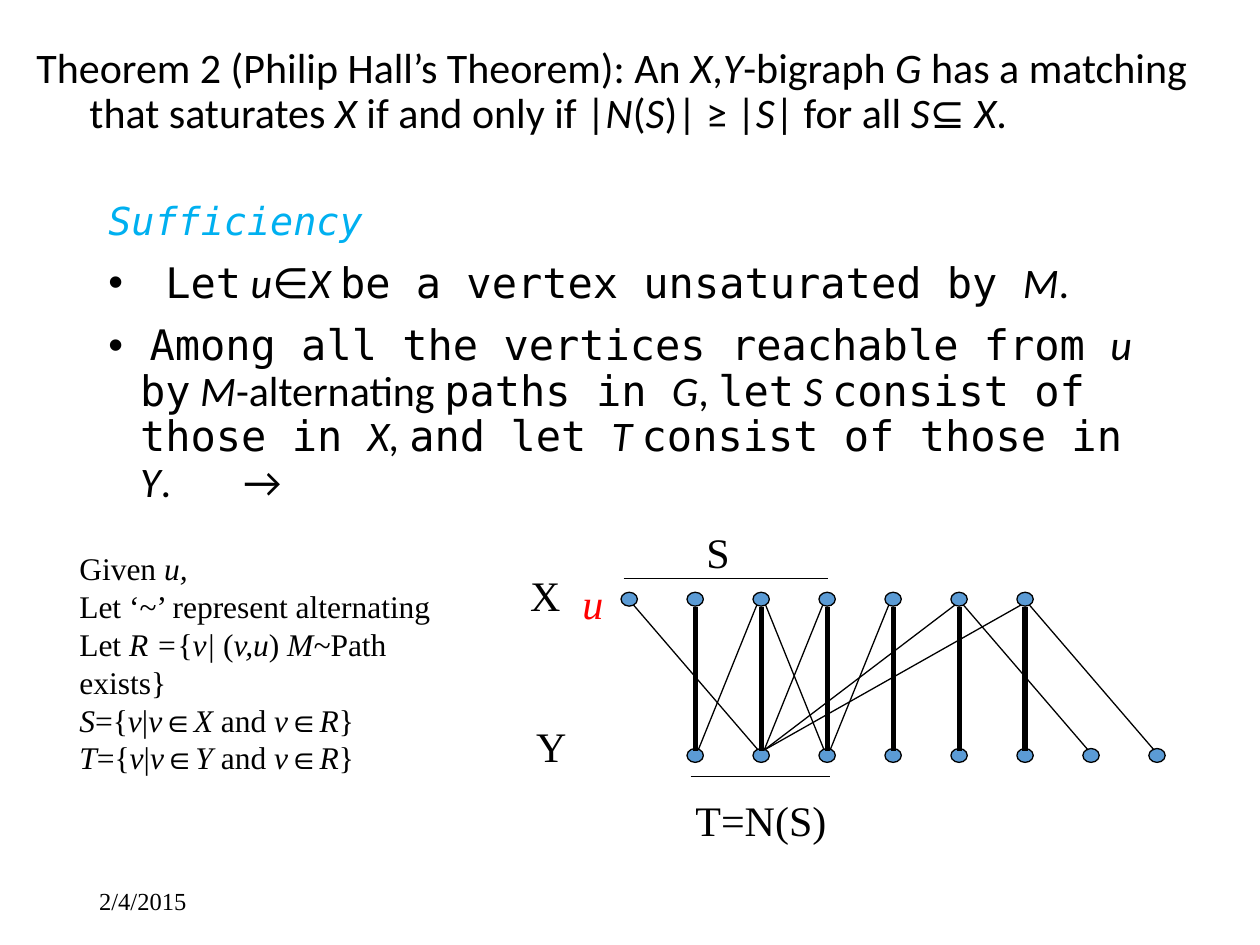
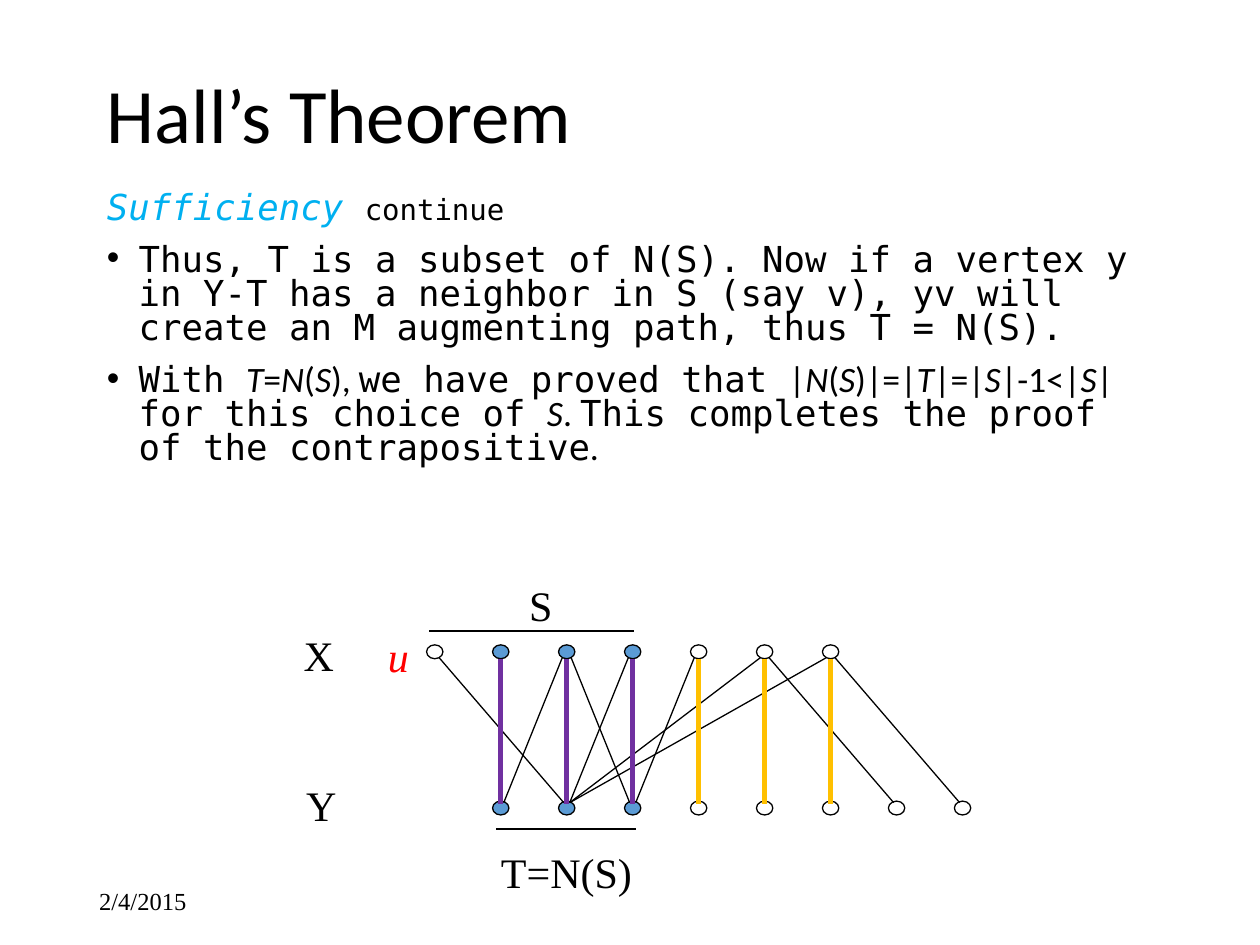
from dataclasses import dataclass

from lxml.etree import SubElement as Sub
from pptx import Presentation
from pptx.dml.color import RGBColor as RGB
from pptx.enum.shapes import MSO_CONNECTOR as Link, MSO_SHAPE as Shape
from pptx.enum.text import MSO_ANCHOR as Anchor, MSO_AUTO_SIZE as Fit, PP_ALIGN as Align
from pptx.oxml.ns import qn
from pptx.util import Cm, Pt


@dataclass(frozen=True)
class Theme:
    ink: RGB = RGB(0, 0, 0)
    cyan: RGB = RGB(0, 0xB0, 0xF0)
    red: RGB = RGB(0xFF, 0, 0)
    blue: RGB = RGB(0x5B, 0x9B, 0xD5)
    plum: RGB = RGB(0x70, 0x30, 0xA0)
    gold: RGB = RGB(0xFF, 0xC0, 0)
    sans: str = "Calibri"
    mono: str = "DejaVu Sans Mono"
    serif: str = "Times New Roman"
    label: float = 24
    note: float = 18
    date: float = 14
    thin: float = 0.75
    thick: float = 3


look = Theme()


def write(box, lines, size, font=look.serif, color=look.ink, anchor=Anchor.TOP,
          hang=0, gap=0, space=1.0, bullets=False):
    """Fill a box; *...* is italic, `...` is monospaced."""
    frame = box.text_frame
    for key, val in dict(word_wrap=True, auto_size=Fit.NONE,
                         vertical_anchor=anchor).items():
        setattr(frame, key, val)
    for n, text in enumerate(lines):
        para = frame.add_paragraph() if n else frame.paragraphs[0]
        props = para._p.get_or_add_pPr()
        props.set("marL", str(Cm(hang)))
        props.set("indent", str(-Cm(hang)))
        if bullets and n:
            Sub(props, qn("a:buFont"), typeface="Arial")
            Sub(props, qn("a:buChar"), char="•")
        else:
            Sub(props, qn("a:buNone"))
        if "\t" in text:
            tabs = Sub(props, qn("a:tabLst"))
            Sub(tabs, qn("a:tab"), pos=str(Cm(2.72)), algn="l")
        for key, val in dict(alignment=Align.LEFT, line_spacing=space,
                             space_before=Pt(gap if n else 0)).items():
            setattr(para, key, val)
        for i, part in enumerate(text.split("`")):
            for j, bit in enumerate(part.split("*")):
                if bit:
                    run = para.add_run()
                    run.text = bit
                    face = look.mono if i % 2 else font
                    for key, val in dict(name=face, size=Pt(size), bold=False,
                                         italic=bool(j % 2)).items():
                        setattr(run.font, key, val)
                    run.font.color.rgb = color


def rule(page, ends, color=look.ink, width=look.thin):
    """Draw a straight line; ends are x1, y1, x2, y2 in cm."""
    line = page.shapes.add_connector(Link.STRAIGHT, *map(Cm, ends))
    line.line.color.rgb = color
    line.line.width = Pt(width)
    Sub(line._element.spPr, qn("a:effectLst"))


# Boxes are left, top, width, height in cm.
pages = [
    dict(
        title=["Theorem 2 (Philip Hall’s Theorem): An *X*,*Y*-bigraph *G* has a matching "
               "that saturates *X* if and only if |*N*(*S*)| ≥ |*S*| for all* S*⊆ *X*."],
        head=(0.48, 0, 24.92, 3.73), big=24, hang=1.07,
        body=["`*Sufficiency*`",
              "` Let` *u*∈*X* `be a vertex unsaturated by `*M*.",
              " `Among all the vertices reachable from `*u* `by` *M*-alternating "
              "`paths in `*G*, `let` *S* `consist of those in `*X,* `and let `*T* "
              "`consist of those in `*Y*.\t→"],
        area=(1.93, 3.96, 21.82, 6.43), size=24, space=0.9, lead=[22],
        at=(12.52, 11.94), full=range(9), bold=[look.ink] * 6,
        tags=dict(S=(1.47, -1.45), X=(-2.08, -0.58), Y=(-1.96, 2.46)),
    ),
    dict(
        title=["Hall’s Theorem"],
        head=(1.9, 1.12, 21.59, 2.54), big=44, hang=0,
        body=["`*Sufficiency *continue`",
              "`Thus, T is a subset of N(S). Now if a vertex y in Y-T has a neighbor "
              "in S (say v), yv will create an M augmenting path, thus T = N(S).`",
              "`With `*T*=*N*(*S*), `we have proved that `|*N*(*S*)|=|*T*|=|*S*|-1<|*S*| "
              "`for this choice of `*S*. `This completes the proof of the "
              "contrapositive`."],
        area=(1.9, 3.76, 21.59, 5.11), size=20.4, space=0.8, lead=[20.4, 16.6],
        at=(8.6, 13), full=range(1, 4), bold=[look.plum] * 3 + [look.gold] * 3,
        tags=dict(S=(1.82, -1.45), X=(-2.73, -0.43), Y=(-2.68, 2.59)),
    ),
]
edges = [(0, 2), (2, 1), (2, 3), (3, 2), (4, 3), (6, 2), (5, 2), (6, 8), (5, 7)]
step, drop, wide, high = 1.33, 3.15, 0.33, 0.28
given = ["Given* u,*", "Let ‘~’ represent alternating",
         "Let* R =*{*v| *(*v,u*)* M~*Path exists}"]
given += [f"*{part}*={{*v*|*v*∈*{side}* and *v*∈*R*}}" for part, side in ("SX", "TY")]

deck = Presentation()
deck.slide_width, deck.slide_height = Cm(25.4), Cm(19.05)

for num, page in enumerate(pages):
    slide = deck.slides.add_slide(deck.slide_layouts[1])
    title, body = slide.placeholders
    for box, spot in ((title, page["head"]), (body, page["area"])):
        for key, val in zip(("left", "top", "width", "height"), spot):
            setattr(box, key, Cm(val))
    write(title, page["title"], page["big"], look.sans, anchor=Anchor.MIDDLE,
          hang=page["hang"], space=0.9)
    write(body, page["body"], page["size"], look.sans, hang=0.64, gap=10,
          space=page["space"], bullets=True)
    lead = body.text_frame.paragraphs[0].runs
    lead[0].font.color.rgb = look.cyan
    for run, size in zip(lead, page["lead"]):
        run.font.size = Pt(size)

    # Vertices: X holds columns 0 to 6, Y holds columns 1 to 8
    left, top = page["at"]
    for cols, y in ((range(7), top), (range(1, 9), top + drop)):
        for col in cols:
            dot = slide.shapes.add_shape(Shape.OVAL, Cm(left + col * step), Cm(y),
                                         Cm(wide), Cm(high))
            dot.shadow.inherit = False
            dot.line.color.rgb = look.ink
            dot.line.width = Pt(look.thin)
            if col in page["full"]:
                dot.fill.solid()
                dot.fill.fore_color.rgb = look.blue
            else:
                dot.fill.background()

    # Thin edges, then the matching M
    mid = left + wide / 2
    for a, b in edges:
        way = 1 if b > a else -1
        rule(slide, (mid + a * step + 0.09 * way, top + 0.26,
                     mid + b * step - 0.06 * way, top + drop + 0.03))
    for col, color in enumerate(page["bold"], 1):
        x = mid + col * step
        rule(slide, (x, top + 0.29, x, top + drop + 0.05), color, look.thick)

    # Bars that mark S and T
    for x1, x2, y in ((0.05, 4.18, -0.28), (1.4, 4.22, 3.71)):
        rule(slide, (left + x1, top + y, left + x2, top + y))

    tags = page["tags"] | {"T=N(S)": (1.25, 3.95), "*u*": (-1.03, -0.42)}
    for text, (x, y) in tags.items():
        box = slide.shapes.add_textbox(Cm(left + x), Cm(top + y),
                                       Cm(3.3 if "=" in text else 1.19), Cm(1.28))
        write(box, [text], look.label, color=look.red if "u" in text else look.ink)

    if num == 0:
        box = slide.shapes.add_textbox(Cm(1.35), Cm(10.95), Cm(8.59), Cm(5.13))
        write(box, given, look.note)
    box = slide.shapes.add_textbox(Cm(1.75), Cm(17.65), Cm(5.72), Cm(1.02))
    write(box, ["2/4/2015"], look.date, anchor=Anchor.MIDDLE)

deck.save("out.pptx")
